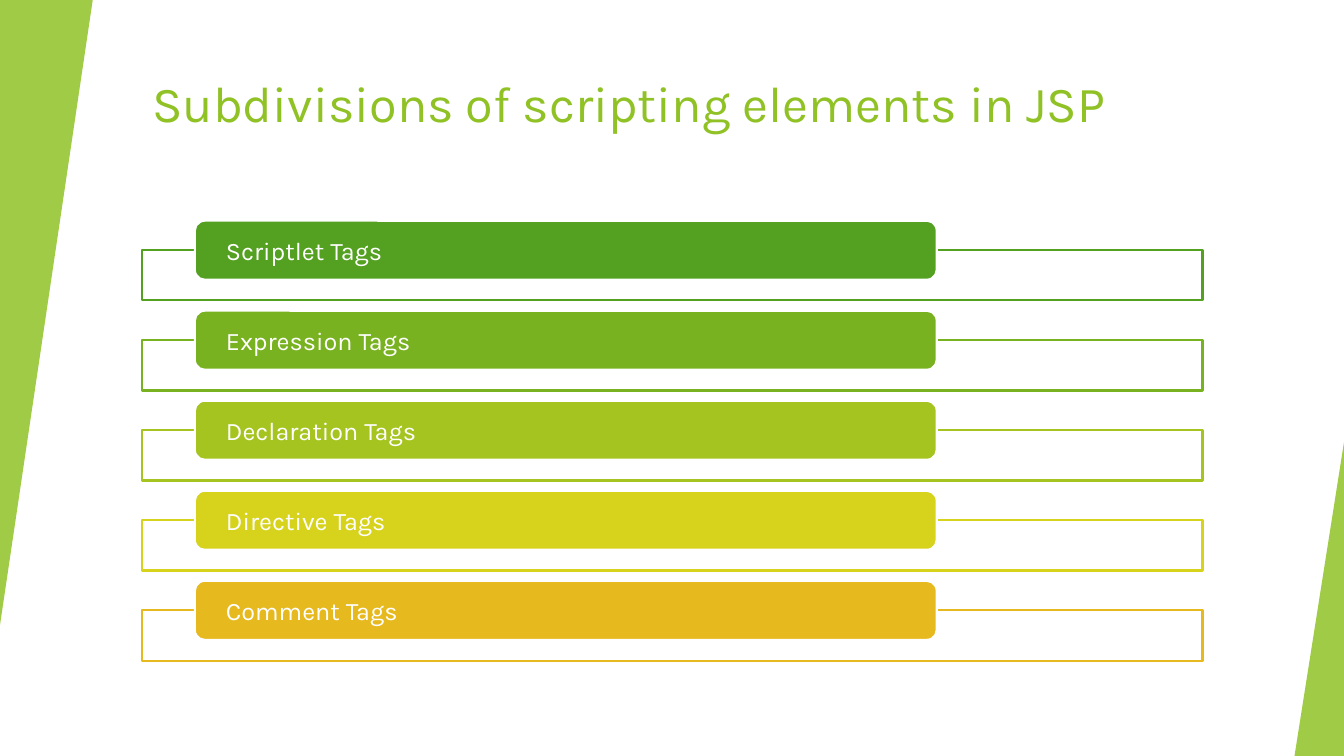
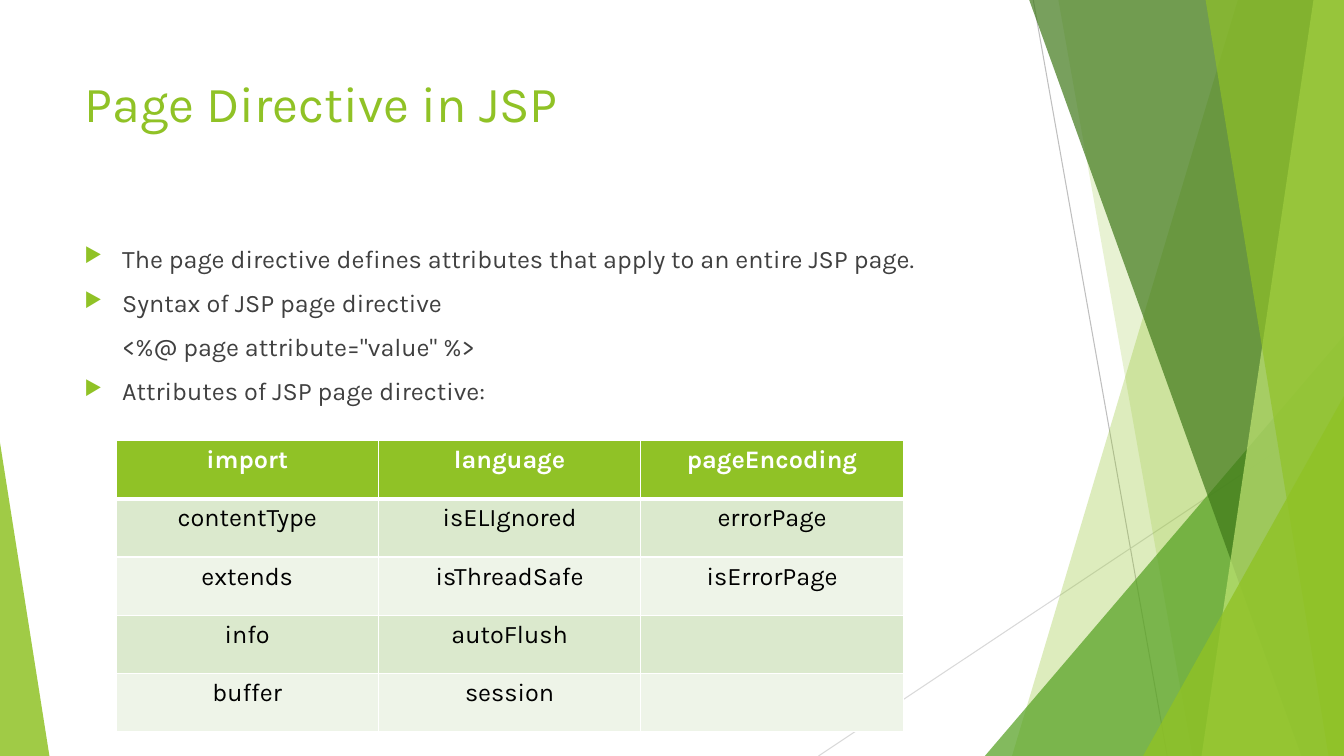
"""Build two slides on JSP scripting elements and the page directive."""
import dataclasses

import lxml.etree
import pptx
import pptx.dml.color
import pptx.enum.shapes
import pptx.enum.text
import pptx.oxml.ns
import pptx.util

SHAPES = pptx.enum.shapes.MSO_SHAPE
ALIGN = pptx.enum.text.PP_ALIGN
ANCHOR = pptx.enum.text.MSO_ANCHOR
WIDTH = pptx.util.Inches(13.33)
HEIGHT = pptx.util.Inches(7.5)


@dataclasses.dataclass(frozen=True)
class Theme:
    font: str = "Karla"
    title_size: int = 36
    text_size: int = 18
    accent: str = "90C226"
    leaf: str = "54A021"
    forest: str = "3F7819"
    lime: str = "C0E474"
    white: str = "FFFFFF"
    black: str = "000000"
    body: str = "404040"
    hairlines: tuple = ("BFBFBF", "D9D9D9")
    bands: tuple = ("DBE9CD", "EEF4E8")
    tags: tuple = ("54A021", "79B220", "A5C41F", "D7D31D", "E6B91E")


THEME = Theme()


def across(percent):
    return pptx.util.Emu(round(WIDTH * percent / 100))


def down(percent):
    return pptx.util.Emu(round(HEIGHT * percent / 100))


def box(left, top, width, height):
    return across(left), down(top), across(width), down(height)


def rgb(color):
    return pptx.dml.color.RGBColor.from_string(color)


def add_xml(parent, tag, **attributes):
    return lxml.etree.SubElement(parent, pptx.oxml.ns.qn(tag), attributes)


def paint(shape, fill, opacity=100, line=None):
    shape.shadow.inherit = False
    shape.fill.solid()
    shape.fill.fore_color.rgb = rgb(fill)
    if opacity < 100:
        color = next(shape.element.spPr.iter(pptx.oxml.ns.qn("a:srgbClr")))
        add_xml(color, "a:alpha", val=str(opacity * 1000))
    if line:
        shape.line.color.rgb = rgb(line)
        shape.line.width = pptx.util.Pt(1.5)
    else:
        shape.line.fill.background()
    return shape


def write(paragraph, text, color, size=THEME.text_size, bold=False, alignment=ALIGN.LEFT):
    paragraph.text = text
    paragraph.alignment = alignment
    paragraph.font.name = THEME.font
    paragraph.font.size = pptx.util.Pt(size)
    paragraph.font.bold = bold
    paragraph.font.color.rgb = rgb(color)


def add_text_frame(slide, *place):
    frame = slide.shapes.add_textbox(*box(*place)).text_frame
    frame.word_wrap = True
    return frame


def add_title(slide, text, left, width):
    frame = add_text_frame(slide, left, 8.93, width, 16)
    write(frame.paragraphs[0], text, THEME.accent, THEME.title_size)


def add_wedge(slide, place, apex, fill, opacity):
    shape = slide.shapes.add_shape(SHAPES.ISOSCELES_TRIANGLE, *box(*place))
    shape.adjustments[0] = apex
    return paint(shape, fill, opacity)


def add_corner(slide, left, apex):
    add_wedge(slide, (left, 58.53, 3.68, 41.47), apex, THEME.accent, 85)


def add_facet(slide, top_left, bottom_left, fill, opacity):
    corners = [(100, 0), (100, 100), (bottom_left, 100)]
    builder = slide.shapes.build_freeform(across(top_left), 0)
    builder.add_line_segments([(across(x), down(y)) for x, y in corners])
    paint(builder.convert_to_shape(), fill, opacity)


def add_hairline(slide, start, end, color):
    line = slide.shapes.add_connector(
        pptx.enum.shapes.MSO_CONNECTOR.STRAIGHT,
        across(start[0]), down(start[1]), across(end[0]), down(end[1]))
    line.line.color.rgb = rgb(color)
    line.line.width = pptx.util.Pt(0.75)
    add_xml(line.element.spPr, "a:effectLst")


def add_facets(slide):
    add_hairline(slide, (76.88, 0), (86.85, 100), THEME.hairlines[0])
    add_hairline(slide, (100, 53.73), (60.9, 100), THEME.hairlines[1])
    add_facet(slide, 92.1, 75.3, THEME.accent, 30)
    add_facet(slide, 78.75, 88.72, THEME.accent, 20)
    add_wedge(slide, (73.28, 44.4, 26.72, 55.6), 1, THEME.leaf, 72)
    add_facet(slide, 76.58, 96.83, THEME.forest, 70)
    add_facet(slide, 97.73, 89.4, THEME.lime, 70)
    add_facet(slide, 89.7, 98.85, THEME.accent, 65)
    add_wedge(slide, (85.05, 52.4, 14.95, 47.6), 1, THEME.accent, 80)
    add_corner(slide, 0, 0)


def add_tag(slide, row, text, color):
    top = 29.2 + row * 11.91
    frame = slide.shapes.add_shape(SHAPES.RECTANGLE, *box(10.58, top + 3.87, 78.9, 6.67))
    paint(frame, THEME.white, 90, color)
    label = slide.shapes.add_shape(SHAPES.ROUNDED_RECTANGLE, *box(14.5, top, 55.2, 7.8))
    paint(label, color, line=THEME.white)
    text_frame = label.text_frame
    text_frame.margin_left = text_frame.margin_right = across(2.1)
    text_frame.margin_top = text_frame.margin_bottom = 0
    text_frame.vertical_anchor = ANCHOR.MIDDLE
    write(text_frame.paragraphs[0], text, THEME.white)


def add_points(slide, points):
    frame = add_text_frame(slide, 5.55, 31.47, 70.5, 26)
    for number, (text, bulleted) in enumerate(points):
        paragraph = frame.add_paragraph() if number else frame.paragraphs[0]
        paragraph.space_before = pptx.util.Pt(10)
        properties = paragraph._p.get_or_add_pPr()
        indent = across(2.81)
        properties.set("marL", str(indent))
        properties.set("indent", str(-indent if bulleted else 0))
        if bulleted:
            add_xml(add_xml(properties, "a:buClr"), "a:srgbClr", val=THEME.accent)
            add_xml(properties, "a:buSzPct", val="80000")
            add_xml(properties, "a:buChar", char="▶")
        write(paragraph, text, THEME.body, alignment=ALIGN.JUSTIFY)


def add_borders(cell, bottom_width):
    properties = cell._tc.get_or_add_tcPr()
    widths = {"a:lnL": 1, "a:lnR": 1, "a:lnT": 1, "a:lnB": bottom_width}
    for position, (tag, width) in enumerate(widths.items()):
        border = add_xml(properties, tag, w=str(pptx.util.Pt(width)))
        add_xml(add_xml(border, "a:solidFill"), "a:srgbClr", val=THEME.white)
        properties.insert(position, border)


def add_attribute_table(slide, rows):
    place = box(8.63, 58.27, 58.58, 38.53)
    table = slide.shapes.add_table(len(rows), len(rows[0]), *place).table
    for row, texts in enumerate(rows):
        header = row == 0
        for column, text in enumerate(texts):
            cell = table.cell(row, column)
            cell.fill.solid()
            cell.fill.fore_color.rgb = rgb(THEME.accent if header else THEME.bands[(row - 1) % 2])
            add_borders(cell, 3 if header else 1)
            color = THEME.white if header else THEME.black
            write(cell.text_frame.paragraphs[0], text, color, bold=header, alignment=ALIGN.CENTER)


def build_subdivisions(slide):
    add_title(slide, "Subdivisions of scripting elements in JSP", 10.58, 83.63)
    add_wedge(slide, (0, 0, 6.9, 82.67), 1, THEME.accent, 85).rotation = 180
    add_corner(slide, 96.32, 1)
    kinds = ("Scriptlet", "Expression", "Declaration", "Directive", "Comment")
    for row, (kind, color) in enumerate(zip(kinds, THEME.tags)):
        add_tag(slide, row, f"{kind} Tags", color)


def build_page_directive(slide):
    add_facets(slide)
    add_title(slide, "Page Directive in JSP", 5.55, 70.5)
    add_points(slide, [
        ("The page directive defines attributes that apply to an entire JSP page.", True),
        ("Syntax of JSP page directive", True),
        ('<%@ page attribute="value" %>', False),
        ("Attributes of JSP page directive:", True),
    ])
    add_attribute_table(slide, [
        ("import", "language", "pageEncoding"),
        ("contentType", "isELIgnored", "errorPage"),
        ("extends", "isThreadSafe", "isErrorPage"),
        ("info", "autoFlush", ""),
        ("buffer", "session", ""),
    ])


def main():
    presentation = pptx.Presentation()
    presentation.slide_width = WIDTH
    presentation.slide_height = HEIGHT
    for build in (build_subdivisions, build_page_directive):
        build(presentation.slides.add_slide(presentation.slide_layouts[6]))
    presentation.save("out.pptx")


if __name__ == "__main__":
    main()
